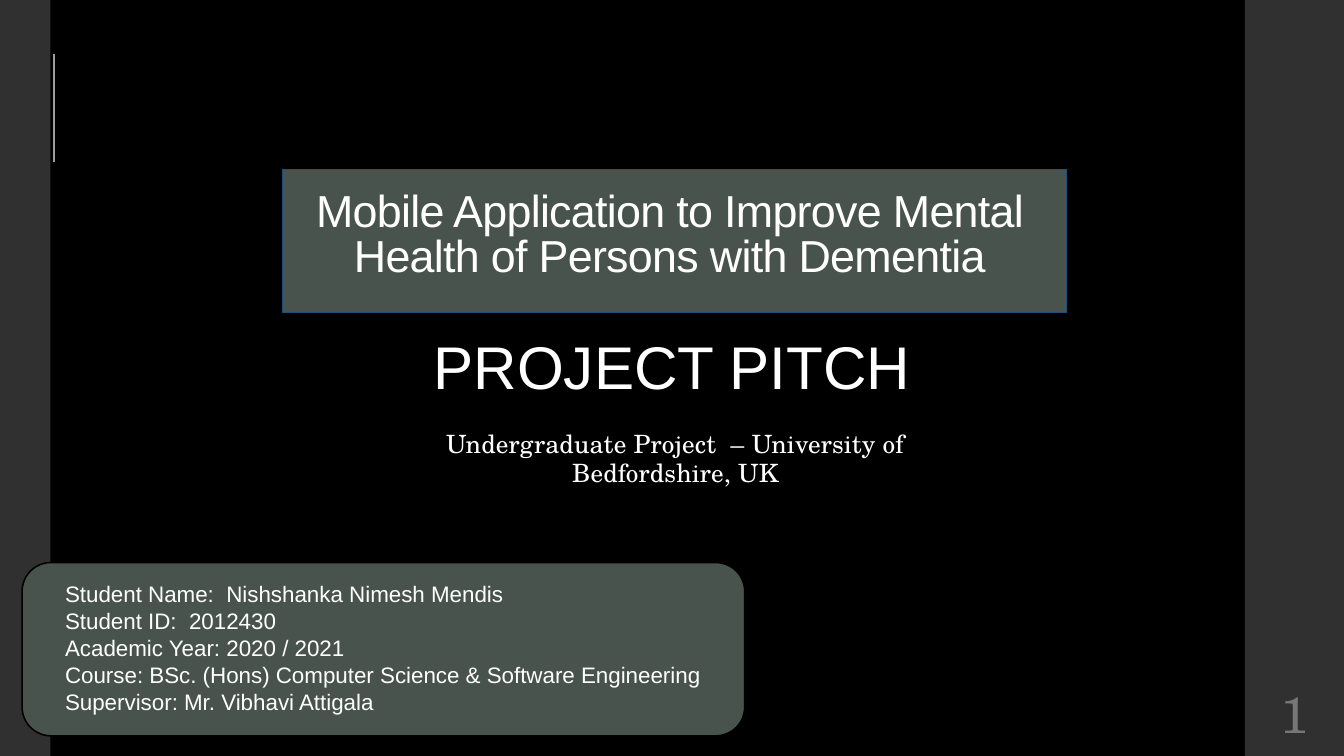
"""Build the opening slide of a dementia app project pitch."""
import pptx
import pptx.util
import pptx.dml.color
import pptx.enum.shapes
import pptx.enum.text
import lxml.etree

Pt = pptx.util.Pt
SHAPES = pptx.enum.shapes.MSO_SHAPE
ALIGN = pptx.enum.text.PP_ALIGN
ANCHOR = pptx.enum.text.MSO_ANCHOR
FIT = pptx.enum.text.MSO_AUTO_SIZE
COLOURS = {"ground": "000000", "band": "303030", "panel": "47534C", "edge": "1F4E79",
           "text": "FFFFFF", "number": "777777", "accent": "93A299"}
SANS, SERIF = "Arial", "TeX Gyre Schola"


def paint(shape, fill, edge=None, weight=0.75):
    shape.shadow.inherit = False
    shape.fill.solid()
    shape.fill.fore_color.rgb = pptx.dml.color.RGBColor.from_string(COLOURS[fill])
    if edge:
        shape.line.color.rgb = pptx.dml.color.RGBColor.from_string(COLOURS[edge])
        shape.line.width = Pt(weight)
    else:
        shape.line.fill.background()


def write(paragraph, words, size, font, align=ALIGN.CENTER, colour="text", spacing=0):
    paragraph.alignment = align
    run = paragraph.add_run()
    run.text = words
    run.font.size = Pt(size)
    run.font.name = font
    run.font.color.rgb = pptx.dml.color.RGBColor.from_string(COLOURS[colour])
    if spacing:
        run._r.get_or_add_rPr().set("spc", str(spacing))


deck = pptx.Presentation()
deck.slide_width, deck.slide_height = Pt(960), Pt(540)
slide = deck.slides.add_slide(deck.slide_layouts[0])
slide.background.fill.solid()
slide.background.fill.fore_color.rgb = pptx.dml.color.RGBColor.from_string(COLOURS["ground"])

for left, width in [(889.2, 70.8), (0, 36)]:
    band = slide.shapes.add_shape(SHAPES.RECTANGLE, Pt(left), 0, Pt(width), Pt(540))
    paint(band, "band")

student_panel = slide.shapes.add_shape(
    SHAPES.ROUNDED_RECTANGLE, Pt(15.8), Pt(401.8), Pt(516.2), Pt(123.8))
paint(student_panel, "panel", "ground", 1.1)

project = slide.shapes.title
project.left, project.top, project.width, project.height = Pt(202), Pt(121), Pt(560), Pt(102)
paint(project, "panel", "edge")
frame = project.text_frame
frame.auto_size, frame.word_wrap, frame.vertical_anchor = FIT.NONE, True, ANCHOR.BOTTOM
frame.margin_left, frame.margin_top = 0, Pt(3.6)
frame.margin_right, frame.margin_bottom = Pt(7.2), Pt(21.6)
frame.paragraphs[0].line_spacing = 0.85
write(frame.paragraphs[0],
      "Mobile Application to Improve Mental Health of Persons with Dementia",
      32, SANS, spacing=-50)

university = slide.placeholders[1]
university.left, university.top = Pt(258), Pt(304)
university.width, university.height = Pt(449), Pt(48)
paint(university, "ground", "ground")
frame = university.text_frame
frame.auto_size, frame.word_wrap, frame.vertical_anchor = FIT.NONE, True, ANCHOR.TOP
line = frame.paragraphs[0]
line.line_spacing, line.space_before, line.space_after = 0.95, Pt(14), Pt(2)
write(line, "Undergraduate Project  – University of Bedfordshire, UK", 18, SERIF, spacing=10)

page_number = slide.shapes.add_textbox(Pt(889.2), Pt(486), Pt(70.8), Pt(46.8))
frame = page_number.text_frame
frame.word_wrap, frame.vertical_anchor = True, ANCHOR.MIDDLE
frame.margin_left = frame.margin_right = Pt(3.6)
write(frame.paragraphs[0], "1", 36, SERIF, colour="number")

pitch = slide.shapes.add_textbox(Pt(302), Pt(232), Pt(356), Pt(59))
pitch.text_frame.word_wrap = True
write(pitch.text_frame.paragraphs[0], "PROJECT PITCH", 43, SANS)

student = slide.shapes.add_textbox(Pt(39.4), Pt(411), Pt(499), Pt(104))
frame = student.text_frame
frame.word_wrap = True
details = [
    "Student Name:  Nishshanka Nimesh Mendis",
    "Student ID:  2012430",
    "Academic Year: 2020 / 2021",
    "Course: BSc. (Hons) Computer Science & Software Engineering",
    "Supervisor: Mr. Vibhavi Attigala",
]
for index, detail in enumerate(details):
    paragraph = frame.add_paragraph() if index else frame.paragraphs[0]
    write(paragraph, detail, 16, SANS, ALIGN.LEFT)

accent = slide.shapes.add_connector(
    pptx.enum.shapes.MSO_CONNECTOR.STRAIGHT, Pt(38.6), Pt(38.6), Pt(38.6), Pt(115.7))
accent.line.color.rgb = pptx.dml.color.RGBColor.from_string(COLOURS["accent"])
accent.line.width = Pt(1.1)
lxml.etree.SubElement(accent._element.spPr,
                      "{http://schemas.openxmlformats.org/drawingml/2006/main}effectLst")

deck.save("out.pptx")
